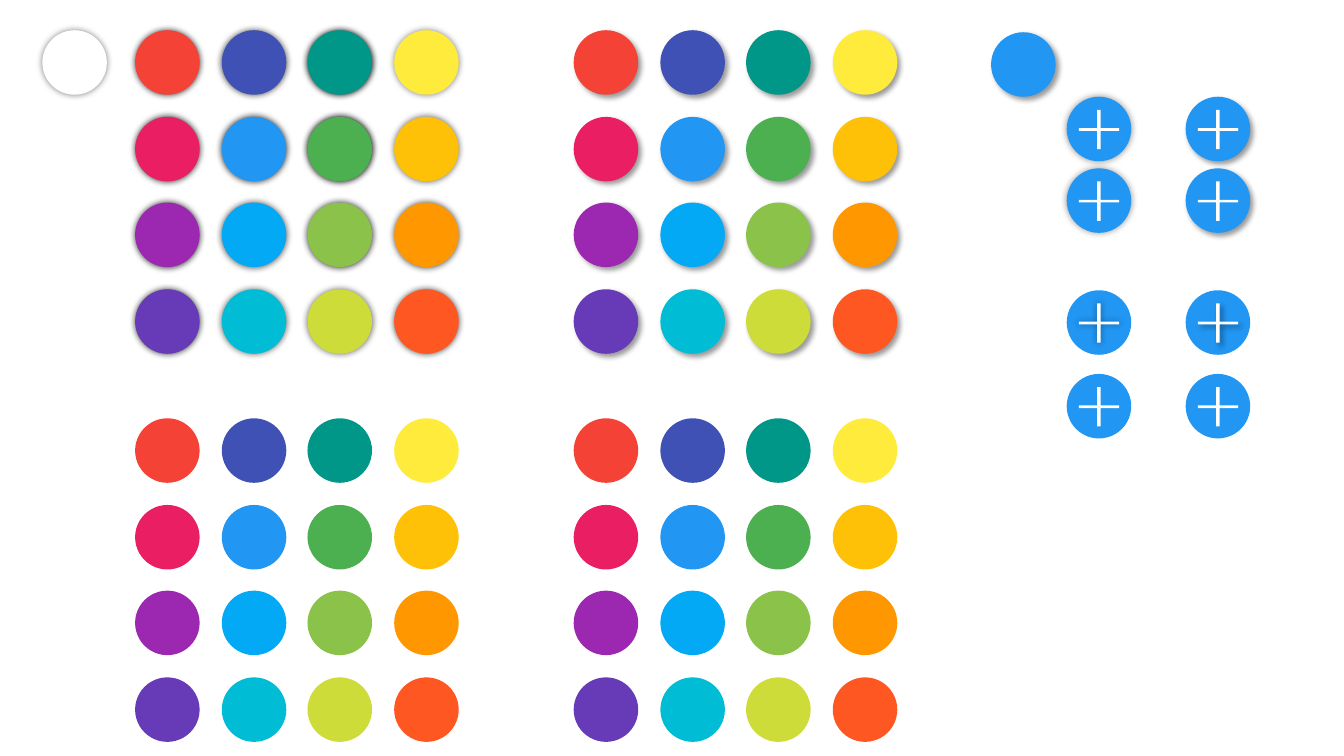
"""Build a slide of round colour swatches and add buttons with soft shadows."""
from lxml.etree import SubElement
from pptx import Presentation
from pptx.dml.color import RGBColor
from pptx.enum.shapes import MSO_SHAPE as Preset
from pptx.oxml.ns import qn

PX = 9144
PT = 12700
DISC = 64
PITCH = 85.7
BLUE = "2196F3"
WHITE = "FFFFFF"
GLOW = (40, 5, 0, 0)
DROP = (40, 4, 3, 45)

PALETTE = [
    ["F44336", "E91E63", "9C27B0", "673AB7"],
    ["3F51B5", "2196F3", "03A9F4", "00BCD4"],
    ["009688", "4CAF50", "8BC34A", "CDDC39"],
    ["FFEB3B", "FFC107", "FF9800", "FF5722"],
]
GLOW_OPACITY = [
    [80, 80, 80, 80],
    [70, 80, 65, 60],
    [100, 100, 80, 60],
    [50, 60, 70, 70],
]

deck = Presentation()
deck.slide_width = 1333 * PX
deck.slide_height = 750 * PX
slide = deck.slides.add_slide(deck.slide_layouts[6])


def add_figure(preset, left, top, width, height, color, shadow=None):
    figure = slide.shapes.add_shape(preset, left * PX, top * PX, width * PX, height * PX)
    figure.fill.solid()
    figure.fill.fore_color.rgb = RGBColor.from_string(color)
    figure.line.fill.background()
    figure.shadow.inherit = False
    if shadow:
        opacity, blur, distance, angle = shadow
        effects = figure._element.spPr.find(qn("a:effectLst"))
        outer = SubElement(
            effects, qn("a:outerShdw"), blurRad=str(blur * PT), dist=str(distance * PT),
            dir=str(angle * 60000), algn="tl" if distance else "ctr", rotWithShape="0")
        black = SubElement(outer, qn("a:srgbClr"), val="000000")
        SubElement(black, qn("a:alpha"), val=str(opacity * 1000))
    return figure


def add_disc(left, top, color, shadow=None):
    return add_figure(Preset.OVAL, left, top, DISC, DISC, color, shadow)


for grid_left, grid_top, style in [
    (134, 30, "glow"), (569, 30, "drop"), (134, 415, "flat"), (569, 415, "flat"),
]:
    for column, shades in enumerate(PALETTE):
        for row, shade in enumerate(shades):
            shadow = {
                "glow": (GLOW_OPACITY[column][row], *GLOW[1:]),
                "drop": DROP,
                "flat": None,
            }[style]
            add_disc(grid_left + round(column * PITCH), grid_top + round(row * PITCH),
                     shade, shadow)

for button_left, shadow in [(1058, GLOW), (1176, DROP)]:
    for button_top, shaded_part in [(96, "disc"), (167, "disc"), (288, "plus"), (371, None)]:
        add_disc(button_left, button_top, BLUE, shadow if shaded_part == "disc" else None)
        plus = add_figure(Preset.CROSS, button_left + 12, button_top + 13, 40, 39, WHITE,
                          shadow if shaded_part == "plus" else None)
        plus.adjustments[0] = 0.467

add_disc(983, 32, BLUE, DROP)
add_disc(42, 30, WHITE, (50, *GLOW[1:]))

deck.save("out.pptx")
